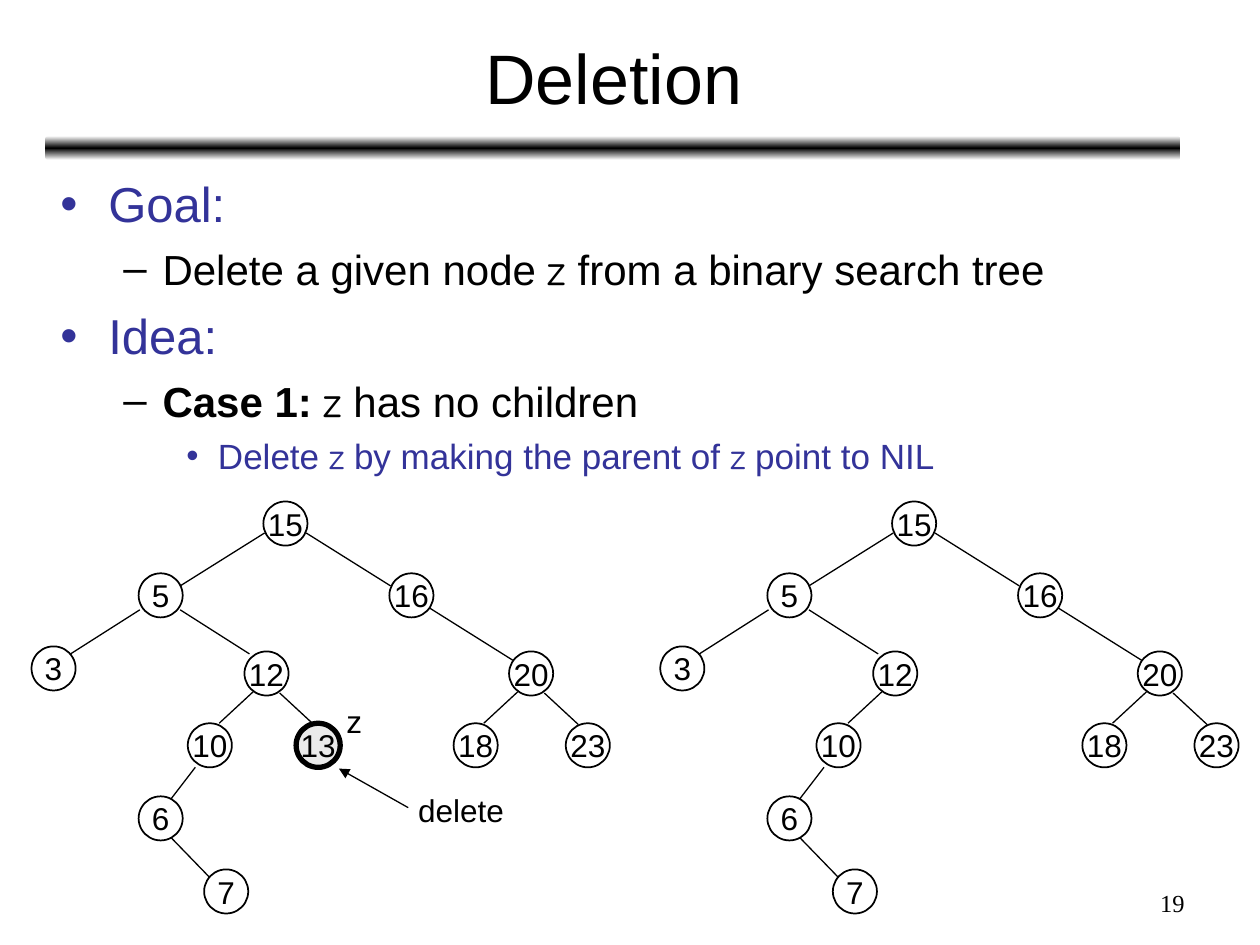
import copy

import lxml.etree
import pptx
import pptx.dml.color
import pptx.enum.shapes
import pptx.enum.text
import pptx.oxml.ns
import pptx.util
from pptx.util import Inches

BLACK, WHITE, GREY, BLUE = "000000", "FFFFFF", "EAEAEA", "333399"
NODE_SIZE = 0.35
NODES = {
    "15": (1.84, 0), "5": (0.85, 0.57), "16": (2.84, 0.57),
    "3": (0, 1.15), "12": (1.69, 1.19), "20": (3.79, 1.19),
    "10": (1.24, 1.76), "13": (2.1, 1.76), "18": (3.35, 1.76),
    "23": (4.24, 1.76), "6": (0.85, 2.34), "7": (1.37, 2.92),
}
EDGES_TO_CHILD = {
    "5": (1.85, 0.25, 1.18, 0.67), "16": (2.18, 0.25, 2.85, 0.67),
    "3": (0.86, 0.86, 0.31, 1.21), "12": (1.18, 0.86, 1.73, 1.21),
    "20": (3.15, 0.84, 3.82, 1.26), "10": (1.76, 1.51, 1.49, 1.76),
    "13": (1.97, 1.52, 2.24, 1.77), "18": (3.86, 1.51, 3.59, 1.76),
    "23": (4.07, 1.52, 4.34, 1.77), "6": (1.3, 2.11, 1.1, 2.37),
    "7": (1.11, 2.67, 1.42, 2.99),
}
LEVELS = [
    (0.38, -0.38, 7, "•", 28, BLUE),
    (0.81, -0.31, 6, "–", 24, BLACK),
    (1.25, -0.25, 5, "•", 20, BLUE),
]
OUTLINE = [
    (0, ["Goal:"]),
    (1, ["Delete a given node ", "z", " from a binary search tree"]),
    (0, ["Idea:"]),
    (1, ["Case 1: ", "z", " has no children"]),
    (2, ["Delete ", "z", " by making the parent of ", "z", " point to NIL"]),
]


def color(value):
    return pptx.dml.color.RGBColor.from_string(value)


def add_xml(parent, tag, **attributes):
    return lxml.etree.SubElement(parent, pptx.oxml.ns.qn(tag), attributes)


def format_run(span, size, font="Arial", fill=BLACK):
    span.font.size = pptx.util.Pt(size)
    span.font.name = font
    span.font.color.rgb = color(fill)


def place(shape, box):
    shape.left, shape.top, shape.width, shape.height = map(Inches, box)


def set_line_text(shape, text, size, align, font="Arial"):
    para = shape.text_frame.paragraphs[0]
    para.text = text
    para.alignment = align
    format_run(para.runs[0], size, font)


def add_label(shapes, box, text, size=18, align=pptx.enum.text.PP_ALIGN.LEFT,
              font="Arial"):
    label = shapes.add_textbox(*map(Inches, box))
    label.text_frame.word_wrap = False
    set_line_text(label, text, size, align, font)
    return label


def add_line(shapes, left, top, start_x, start_y, end_x, end_y):
    line = shapes.add_connector(
        pptx.enum.shapes.MSO_CONNECTOR.STRAIGHT,
        Inches(left + start_x), Inches(top + start_y),
        Inches(left + end_x), Inches(top + end_y))
    line.line.color.rgb = color(BLACK)
    line.line.width = pptx.util.Pt(0.75)
    add_xml(line._element.spPr, "a:effectLst")
    return line


def add_node(shapes, left, top, text, marked):
    node = shapes.add_shape(
        pptx.enum.shapes.MSO_SHAPE.OVAL,
        *map(Inches, (left, top, NODE_SIZE, NODE_SIZE)))
    node.shadow.inherit = False
    node.fill.solid()
    node.fill.fore_color.rgb = color(GREY if marked else WHITE)
    node.line.color.rgb = color(BLACK)
    node.line.width = pptx.util.Pt(3 if marked else 1)
    node.text_frame.word_wrap = False
    node.text_frame.vertical_anchor = pptx.enum.text.MSO_ANCHOR.MIDDLE
    set_line_text(node, text, 18, pptx.enum.text.PP_ALIGN.CENTER)


def add_title(page, box):
    title = page.shapes.title
    place(title, box)
    title.text_frame.auto_size = pptx.enum.text.MSO_AUTO_SIZE.NONE
    title.text_frame.vertical_anchor = pptx.enum.text.MSO_ANCHOR.MIDDLE
    set_line_text(title, "Deletion", 40, pptx.enum.text.PP_ALIGN.CENTER)


def add_divider(page, box):
    bar = page.shapes.add_shape(
        pptx.enum.shapes.MSO_SHAPE.ROUNDED_RECTANGLE, *map(Inches, box))
    bar.shadow.inherit = False
    bar.line.fill.background()
    bar.fill.gradient()
    bar.fill.gradient_angle = 90
    stops = bar._element.spPr.find(".//" + pptx.oxml.ns.qn("a:gsLst"))
    stops.insert(1, copy.deepcopy(stops[0]))
    for stop, position, fill in zip(
            bar.fill.gradient_stops, (0, 0.5, 1), (WHITE, BLACK, WHITE)):
        stop.position = position
        stop.color.rgb = color(fill)


def add_outline(page, box):
    body = page.placeholders[1]
    place(body, box)
    frame = body.text_frame
    frame.auto_size = pptx.enum.text.MSO_AUTO_SIZE.NONE
    for index, (level, texts) in enumerate(OUTLINE):
        margin, indent, before, bullet, size, fill = LEVELS[level]
        para = frame.add_paragraph() if index else frame.paragraphs[0]
        para.level = level
        para.space_before = pptx.util.Pt(before)
        properties = para._p.get_or_add_pPr()
        properties.set("marL", str(Inches(margin)))
        properties.set("indent", str(Inches(indent)))
        add_xml(add_xml(properties, "a:buClr"), "a:srgbClr", val=fill)
        add_xml(properties, "a:buFont", typeface="Arial")
        add_xml(properties, "a:buChar", char=bullet)
        for text in texts:
            span = para.add_run()
            span.text = text
            format_run(span, size, "Comic Neue" if text == "z" else "Arial", fill)
            span.font.bold = text.startswith("Case")


def add_tree(page, left, top, marked=None, removed=None):
    shapes = page.shapes.add_group_shape().shapes
    for child, ends in EDGES_TO_CHILD.items():
        if child != removed:
            add_line(shapes, left, top, *ends)
    for text, (x, y) in NODES.items():
        if text != removed:
            add_node(shapes, left + x, top + y, text, text == marked)
    return shapes


def add_deletion_note(shapes, left, top):
    arrow = add_line(shapes, left, top, 2.99, 2.43, 2.44, 2.12)
    add_xml(arrow.line._get_or_add_ln(), "a:tailEnd", type="triangle")
    add_label(shapes, (left + 2.97, top + 2.25, 0.88, 0.4), "delete")
    add_label(shapes, (left + 2.4, top + 1.54, 0.32, 0.4), "z")


def main():
    deck = pptx.Presentation()
    deck.slide_width, deck.slide_height = Inches(10), Inches(7.5)
    page = deck.slides.add_slide(deck.slide_layouts[1])
    add_divider(page, (0.36, 1.08, 9.01, 0.19))
    add_title(page, (0.37, 0.11, 9, 0.99))
    add_outline(page, (0.38, 1.33, 9.13, 2.52))
    before_tree = add_tree(page, 0.25, 3.98, marked="13")
    add_deletion_note(before_tree, 0.25, 3.98)
    add_tree(page, 5.24, 3.98, removed="13")
    add_label(page.shapes, (7.17, 7, 2.33, 0.35), "19", 14,
              pptx.enum.text.PP_ALIGN.RIGHT, "Times New Roman").text_frame.word_wrap = True
    deck.save("out.pptx")


if __name__ == "__main__":
    main()
